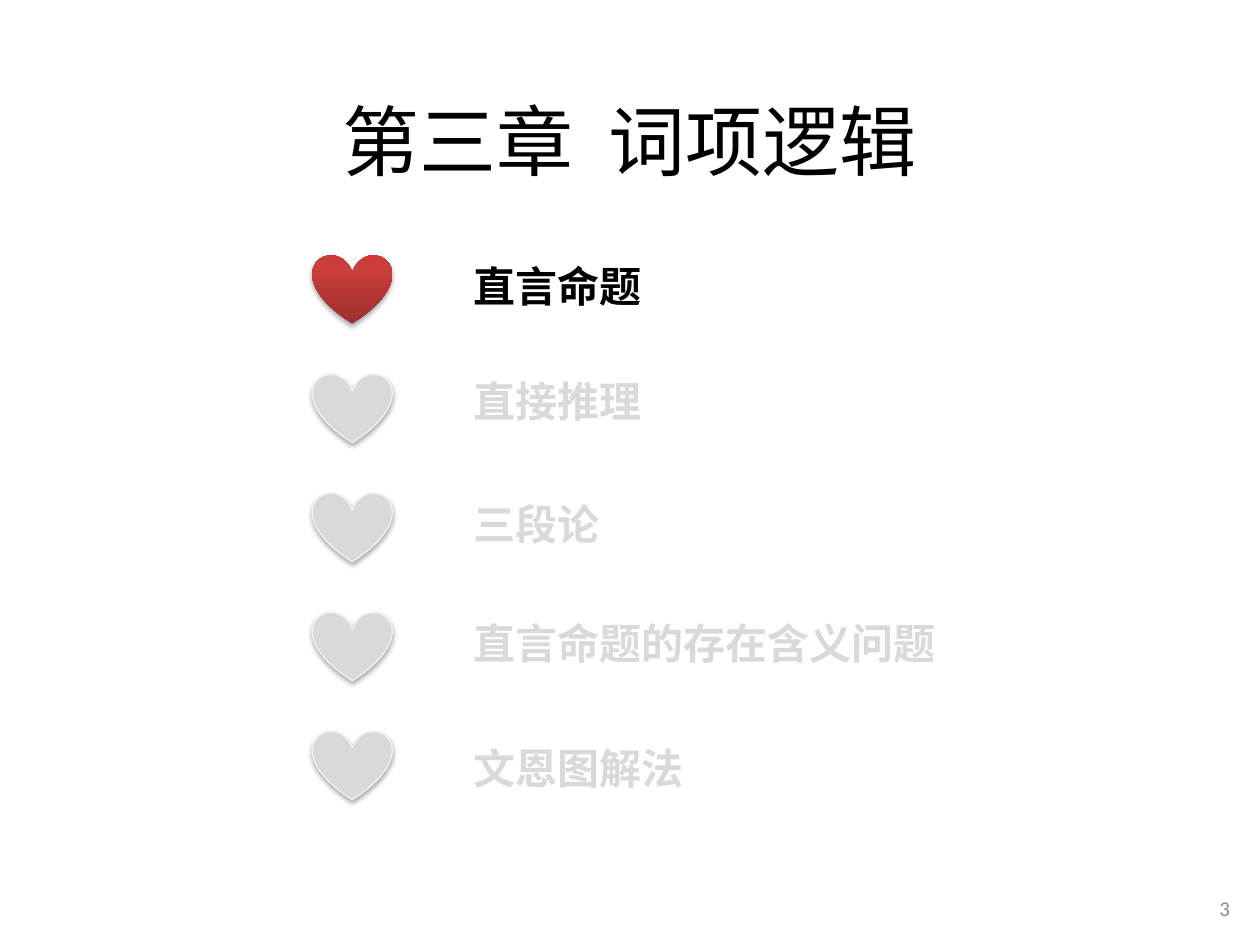
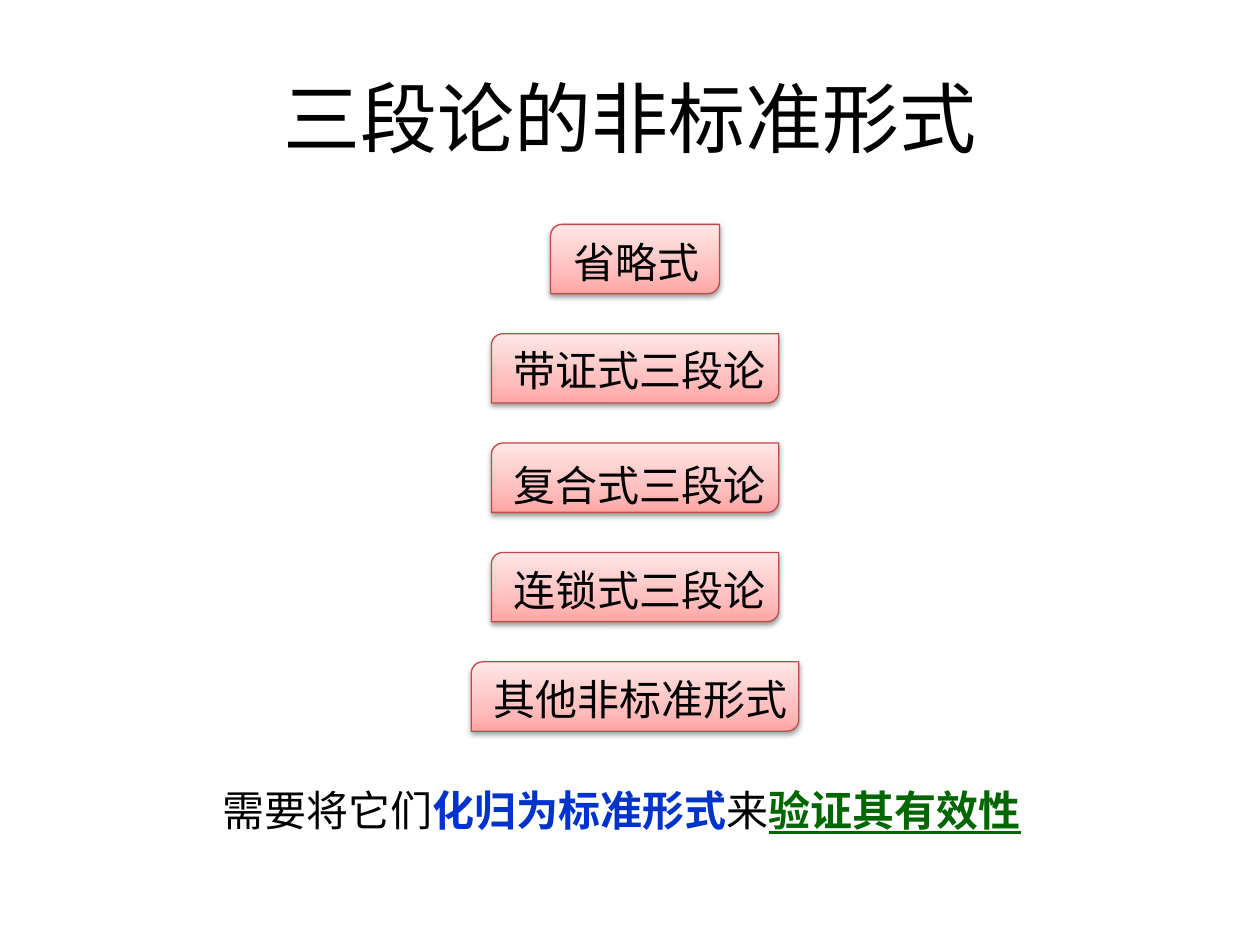
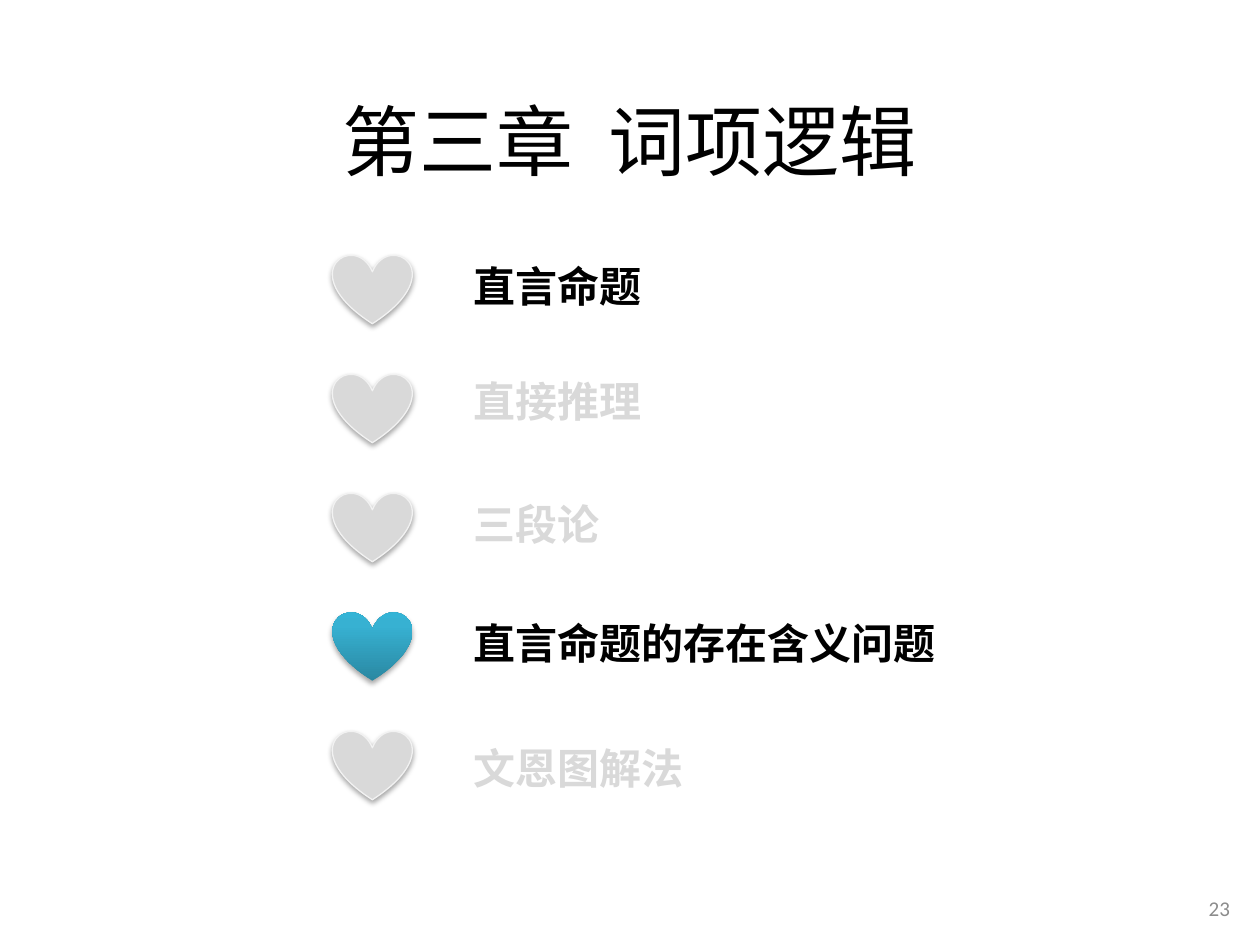
"""Build three lecture slides on term logic."""
from dataclasses import dataclass
from typing import Any, Optional

from lxml import etree
from pptx import Presentation
from pptx.dml.color import RGBColor
from pptx.enum.shapes import MSO_SHAPE
from pptx.enum.text import MSO_ANCHOR, MSO_AUTO_SIZE, PP_ALIGN
from pptx.oxml.ns import qn
from pptx.util import Pt

HEART = MSO_SHAPE.HEART
TAB = MSO_SHAPE.ROUND_2_DIAG_RECTANGLE
MIDDLE = MSO_ANCHOR.MIDDLE
GROW = MSO_AUTO_SIZE.SHAPE_TO_FIT_TEXT
CENTER, RIGHT = PP_ALIGN.CENTER, PP_ALIGN.RIGHT

BLACK, GRAY, PAGE_GRAY, PALE = "000000", "D9D9D9", "8C8C8C", "F2F2F2"
BLUE, GREEN, TAB_LINE = "0033CC", "006600", "BF4C48"
RED_STOPS = ((0, "9C2F2D"), (80, "CB3E3A"), (100, "CE3B37"))
TEAL_STOPS = ((0, "2A88A2"), (80, "37B1D2"), (100, "34B4D6"))
PINK_STOPS = ((0, "FFA6A5"), (35, "FFC0BF"), (100, "FFE7E7"))

CJK, CJK_TITLE = "Noto Sans CJK SC", "Noto Sans CJK JP"
TITLE_FORMAT = {"size": Pt(44), "name": CJK_TITLE}
PAGE_FORMAT = {"size": Pt(12), "name": "Calibri"}
BODY_FORMAT = {"size": Pt(24), "name": CJK}
FIRST_TOPIC_FORMAT = {"size": Pt(24), "name": "Calibri", "bold": True}
TOPIC_FORMAT = {**FIRST_TOPIC_FORMAT, "name": "Arial"}

CHAPTER_TITLE = "第三章  词项逻辑"
TOPIC_LEFT, TOPIC_WIDTH, LABEL_HEIGHT = 263.5, 402.5, 36
HEART_TOP, HEART_PITCH, HEART_WIDTH, HEART_HEIGHT = 145.4, 68, 45.4, 39.6
TAB_CENTER, TAB_TOP, TAB_PITCH, TAB_HEIGHT = 362.9, 128.2, 62.5, 39.6
TAB_INSET = 5.8


@dataclass(frozen=True)
class Box:
    """Position and size in points."""
    left: float
    top: float
    width: float
    height: float

    def lengths(self) -> list:
        """Return the four values as lengths."""
        return [Pt(value) for value in (self.left, self.top, self.width, self.height)]


@dataclass(frozen=True)
class Piece:
    """A run of text with its colour and font values."""
    text: str
    color: str
    format: dict


@dataclass(frozen=True)
class Topic:
    """A chapter topic and the top of its label."""
    text: str
    top: float
    format: dict


@dataclass(frozen=True)
class Form:
    """A syllogism form with its tab and label measures."""
    text: str
    tab_width: float
    label_width: float
    label_drop: float


@dataclass(frozen=True)
class Agenda:
    """A chapter overview with one highlighted heart."""
    page: str
    heart_left: float
    current: int
    stops: tuple
    dark_topics: tuple


TOPICS = (
    Topic("直言命题", 145.4, FIRST_TOPIC_FORMAT),
    Topic("直接推理", 211, TOPIC_FORMAT),
    Topic("三段论", 281.5, TOPIC_FORMAT),
    Topic("直言命题的存在含义问题", 349.2, TOPIC_FORMAT),
    Topic("文恩图解法", 420.5, TOPIC_FORMAT),
)
FORMS = (
    Form("省略式", 96.5, 102.2, 3.6),
    Form("带证式三段论", 164.2, 158.6, 2.9),
    Form("复合式三段论", 164.2, 164.2, 5.8),
    Form("连锁式三段论", 164.2, 158.6, 3.6),
    Form("其他非标准形式", 187.2, 193, 2.9),
)
CONCLUSION = (
    Piece("需要将它们", BLACK, BODY_FORMAT),
    Piece("化归为标准形式", BLUE, {**BODY_FORMAT, "bold": True}),
    Piece("来", BLACK, BODY_FORMAT),
    Piece("验证其有效性", GREEN, {**BODY_FORMAT, "bold": True, "underline": True}),
)
FIRST_AGENDA = Agenda("3", 178.6, 0, RED_STOPS, (0,))
SECOND_AGENDA = Agenda("23", 190.1, 3, TEAL_STOPS, (0, 3))


def rgb(color: str) -> RGBColor:
    """Turn a hex string into a colour."""
    return RGBColor.from_string(color)


def apply_format(target: Any, values: dict) -> None:
    """Set each named attribute on the target."""
    for name, value in values.items():
        setattr(target, name, value)


def add_text(slide: Any, box: Box, pieces: tuple, frame_format: Optional[dict] = None,
             paragraph_format: Optional[dict] = None) -> Any:
    """Add a wrapped text box with one paragraph and return the paragraph."""
    frame = slide.shapes.add_textbox(*box.lengths()).text_frame
    apply_format(frame, {"word_wrap": True, **(frame_format or {})})
    paragraph = frame.paragraphs[0]
    apply_format(paragraph, paragraph_format or {})
    for piece in pieces:
        run = paragraph.add_run()
        run.text = piece.text
        apply_format(run.font, piece.format)
        run.font.color.rgb = rgb(piece.color)
        name = piece.format["name"]
        east_asian = etree.SubElement(run.font._element, qn("a:ea"))
        east_asian.set("typeface", name if "CJK" in name else CJK)
    return paragraph


def add_label(slide: Any, box: Box, piece: Piece) -> None:
    """Add a label that grows with its text."""
    add_text(slide, box, (piece,), {"auto_size": GROW})


def add_title(slide: Any, text: str, spacing: float = 1.0) -> None:
    """Add the centred slide title."""
    add_text(slide, Box(36, 22, 648, 89.6), (Piece(text, BLACK, TITLE_FORMAT),),
             {"vertical_anchor": MIDDLE}, {"alignment": CENTER, "line_spacing": spacing})


def add_color_stop(parent: Any, color: str) -> Any:
    """Append a colour element and return it."""
    element = etree.SubElement(parent, qn("a:srgbClr"))
    element.set("val", color)
    return element


def fill_gradient(shape: Any, stops: tuple) -> None:
    """Fill the shape upwards through the colour stops."""
    shape.fill.gradient()
    shape.fill.gradient_angle = 90
    stop_list = shape.element.spPr.find(qn("a:gradFill")).find(qn("a:gsLst"))
    for old_stop in list(stop_list):
        stop_list.remove(old_stop)
    for percent, color in stops:
        stop = etree.SubElement(stop_list, qn("a:gs"))
        stop.set("pos", str(percent * 1000))
        add_color_stop(stop, color)


def add_shadow(shape: Any, opacity: int, distance: float) -> None:
    """Give the shape a soft shadow below it."""
    shape.shadow.inherit = False
    effects = shape.element.spPr.find(qn("a:effectLst"))
    shadow = etree.SubElement(effects, qn("a:outerShdw"))
    values = {"blurRad": Pt(3.1), "dist": Pt(distance), "dir": 5400000, "rotWithShape": 0}
    for name, value in values.items():
        shadow.set(name, str(int(value)))
    alpha = etree.SubElement(add_color_stop(shadow, BLACK), qn("a:alpha"))
    alpha.set("val", str(opacity * 1000))


def add_outline(shape: Any, color: str) -> None:
    """Draw a thin outline around the shape."""
    shape.line.color.rgb = rgb(color)
    shape.line.width = Pt(0.75)


def add_heart(slide: Any, box: Box, stops: Optional[tuple]) -> None:
    """Add a heart, highlighted when colour stops are given."""
    heart = slide.shapes.add_shape(HEART, *box.lengths())
    if stops:
        fill_gradient(heart, stops)
        heart.line.fill.background()
    else:
        heart.fill.solid()
        heart.fill.fore_color.rgb = rgb(GRAY)
        add_outline(heart, PALE)
    add_shadow(heart, 35, 1.8)


def add_agenda_slide(slide: Any, agenda: Agenda) -> None:
    """Draw a chapter overview."""
    add_text(slide, Box(681.1, 504.7, 28.8, 28.8), (Piece(agenda.page, PAGE_GRAY, PAGE_FORMAT),),
             {"vertical_anchor": MIDDLE}, {"alignment": RIGHT})
    add_title(slide, CHAPTER_TITLE, 1.5)
    for index, topic in enumerate(TOPICS):
        color = BLACK if index in agenda.dark_topics else GRAY
        add_label(slide, Box(TOPIC_LEFT, topic.top, TOPIC_WIDTH, LABEL_HEIGHT),
                  Piece(topic.text, color, topic.format))
        heart_box = Box(agenda.heart_left, HEART_TOP + index * HEART_PITCH,
                        HEART_WIDTH, HEART_HEIGHT)
        add_heart(slide, heart_box, agenda.stops if index == agenda.current else None)


def add_forms_slide(slide: Any) -> None:
    """Draw the list of non-standard syllogism forms."""
    add_title(slide, "三段论的非标准形式")
    paragraph = add_text(slide, Box(87.8, 439.9, 648, 51.1), CONCLUSION, {"margin_top": Pt(8.2)})
    paragraph._p.get_or_add_pPr().set("marL", str(Pt(32.4)))
    for index, form in enumerate(FORMS):
        left = TAB_CENTER - form.tab_width / 2
        top = TAB_TOP + index * TAB_PITCH
        tab = slide.shapes.add_shape(TAB, *Box(left, top, form.tab_width, TAB_HEIGHT).lengths())
        fill_gradient(tab, PINK_STOPS)
        add_outline(tab, TAB_LINE)
        add_shadow(tab, 38, 1.6)
        add_label(slide, Box(left + TAB_INSET, top + form.label_drop, form.label_width, LABEL_HEIGHT),
                  Piece(form.text, BLACK, BODY_FORMAT))


def main() -> None:
    """Build and save the presentation."""
    presentation = Presentation()
    apply_format(presentation, {"slide_width": Pt(720), "slide_height": Pt(540)})
    blank = presentation.slide_layouts[6]
    add_agenda_slide(presentation.slides.add_slide(blank), FIRST_AGENDA)
    add_forms_slide(presentation.slides.add_slide(blank))
    add_agenda_slide(presentation.slides.add_slide(blank), SECOND_AGENDA)
    presentation.save("out.pptx")


if __name__ == "__main__":
    main()
